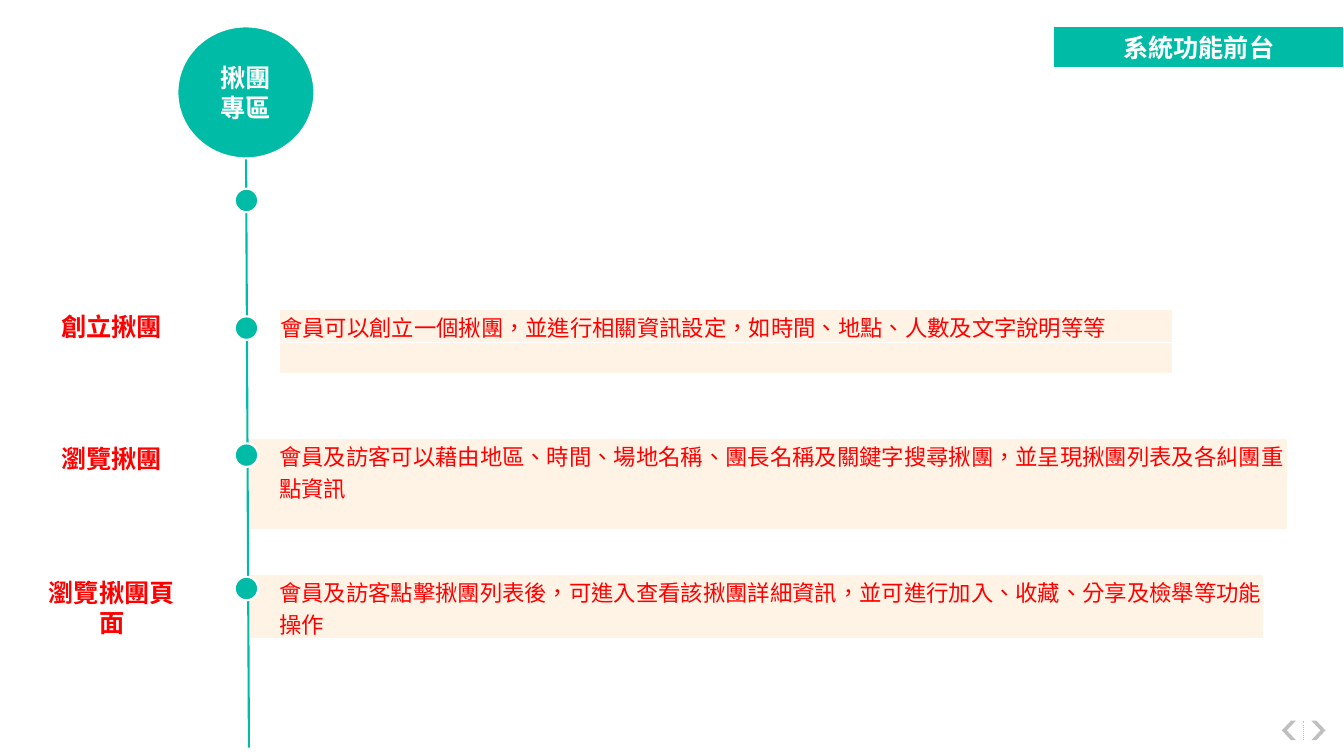
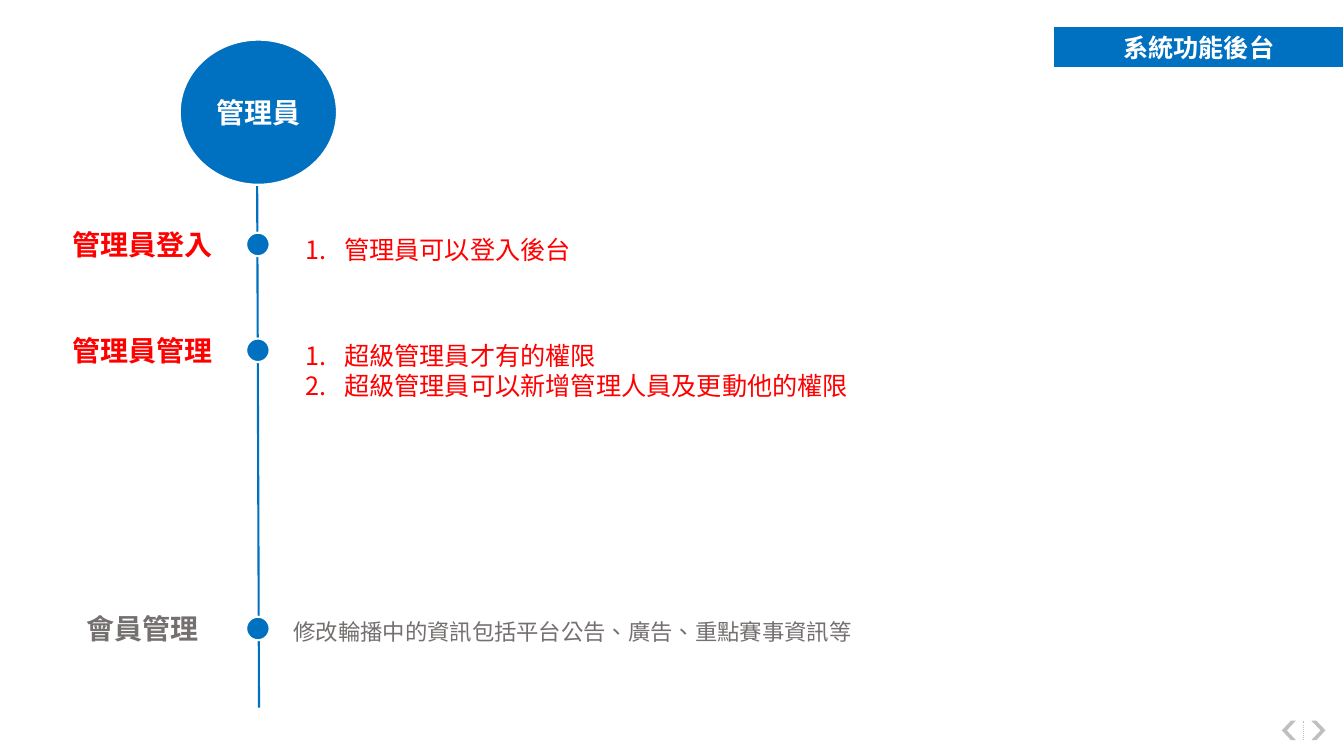
from collections import namedtuple

from lxml.etree import SubElement
from pptx import Presentation
from pptx.dml.color import RGBColor
from pptx.enum.dml import MSO_LINE
from pptx.enum.shapes import MSO_CONNECTOR, MSO_SHAPE
from pptx.enum.text import MSO_ANCHOR, MSO_AUTO_SIZE, PP_ALIGN
from pptx.oxml.ns import qn
from pptx.util import Emu, Inches, Pt

# Grid of 80 columns by 45 rows; every length below is in cells
COLUMNS, ROWS = 80, 45
CELL = Inches(1) // 6
Box = namedtuple("Box", "left top width height")

# Shared look
FONT = "Arial"
WHITE, RED, GRAY = "FFFFFF", "FF0000", "757070"
CREAM, SILVER = "FFF3E6", "BFBFBF"
TEAL, BLUE = "00BBA5", "0070C0"
BANNER = Box(62.7, 1.55, 17.3, 2.5)
PAGER = Box(76.3, 42.9, 2.6, 1.15)
DOT = 1.4


def cells(*counts):
    return [Emu(int(count * CELL)) for count in counts]


def color(hex_string):
    return RGBColor.from_string(hex_string)


def centered(x, y, width, height):
    return Box(x - width / 2, y - height / 2, width, height)


def paint(shape, fill, line=None):
    shape.fill.solid()
    shape.fill.fore_color.rgb = color(fill)
    if line:
        shape.line.color.rgb = color(line)
        shape.line.width = Pt(1.5)
    else:
        shape.line.fill.background()


def place(shape, box):
    shape.left, shape.top, shape.width, shape.height = cells(*box)


def write(frame, lines, size, hex_string, bold=False, align=PP_ALIGN.LEFT):
    """Fill a text frame, one paragraph per line."""
    frame.word_wrap = True
    for index, line in enumerate(lines):
        paragraph = frame.paragraphs[0] if index == 0 else frame.add_paragraph()
        paragraph.alignment = align
        paragraph.line_spacing = 1.0
        paragraph.space_before = Pt(0)
        if not line:
            SubElement(paragraph._p, qn("a:endParaRPr"), sz=str(size * 100))
            continue
        run = paragraph.add_run()
        run.text = line
        run.font.name = FONT
        run.font.size = Pt(size)
        run.font.bold = bold
        run.font.color.rgb = color(hex_string)
        run._r.get_or_add_rPr().set("lang", "zh-TW")


def number(frame, hex_string):
    """Number the paragraphs of a frame with a hanging indent."""
    for paragraph in frame.paragraphs:
        properties = paragraph._p.get_or_add_pPr()
        properties.set("marL", str(Inches(0.5)))
        properties.set("indent", str(-Inches(0.38)))
        bullet_color = SubElement(properties, qn("a:buClr"))
        SubElement(bullet_color, qn("a:srgbClr"), val=hex_string)
        SubElement(properties, qn("a:buAutoNum"), type="arabicPeriod")


def add_shape(slide, kind, box, fill, line=None):
    shape = slide.shapes.add_shape(kind, *cells(*box))
    shape.shadow.inherit = False
    paint(shape, fill, line)
    return shape


def add_line(slide, start, end, hex_string, width):
    line = slide.shapes.add_connector(
        MSO_CONNECTOR.STRAIGHT, *cells(*start, *end))
    line.line.color.rgb = color(hex_string)
    line.line.width = Pt(width)
    SubElement(line._element.spPr, qn("a:effectLst"))
    return line


def add_text(slide, box, lines, size, hex_string, anchor=MSO_ANCHOR.TOP, **style):
    frame = slide.shapes.add_textbox(*cells(*box)).text_frame
    frame.vertical_anchor = anchor
    write(frame, lines, size, hex_string, **style)


def set_banner(slide, text, accent):
    """Title placeholder as the band at top right."""
    title = slide.shapes.title
    place(title, BANNER)
    paint(title, accent, WHITE)
    title.text_frame.auto_size = MSO_AUTO_SIZE.NONE
    title.text_frame.vertical_anchor = MSO_ANCHOR.MIDDLE
    write(title.text_frame, [text], 18, WHITE, bold=True, align=PP_ALIGN.CENTER)


def draw_timeline(slide, hub_box, hub_lines, hub_size, spine, dot_x, dot_rows, accent):
    """Spine, hub circle on its upper end, and dots along it."""
    add_line(slide, *spine, accent, 1.5)
    hub = add_shape(slide, MSO_SHAPE.OVAL, hub_box, accent, WHITE)
    hub.text_frame.vertical_anchor = MSO_ANCHOR.MIDDLE
    write(hub.text_frame, hub_lines, hub_size, WHITE, bold=True,
          align=PP_ALIGN.CENTER)
    for row in dot_rows:
        add_shape(slide, MSO_SHAPE.OVAL, centered(dot_x, row, DOT, DOT),
                  accent, WHITE)


def add_note_table(slide, box, lines, inset):
    """One-column table of tinted notes."""
    table = slide.shapes.add_table(len(lines), 1, *cells(*box)).table
    table.first_row = table.horz_banding = False
    for index, line in enumerate(lines):
        cell = table.cell(index, 0)
        cell.margin_left = Inches(inset)
        cell.margin_top = Inches(0.01)
        cell.margin_right = cell.margin_bottom = 0
        cell.fill.solid()
        cell.fill.fore_color.rgb = color(CREAM)
        write(cell.text_frame, [line], 16, RED)


def move_pager_to_master(slide, master, box):
    """Draw the pager arrows and hang them on the master."""
    arrow_width = box.width * 0.32
    parts = []
    for left, turn in ((box.left, 180), (box.left + box.width - arrow_width, 0)):
        arrow = add_shape(slide, MSO_SHAPE.CHEVRON,
                          Box(left, box.top, arrow_width, box.height), SILVER)
        arrow.adjustments[0] = 0.65
        arrow.rotation = turn
        parts.append(arrow)
    middle = box.left + box.width / 2
    divider = add_line(slide, (middle, box.top + box.height), (middle, box.top),
                       SILVER, 0.75)
    divider.line.dash_style = MSO_LINE.ROUND_DOT
    for part in parts + [divider]:
        master.shapes.element.append(part.element)


def build_front_slide(presentation):
    slide = presentation.slides.add_slide(presentation.slide_layouts[5])
    set_banner(slide, "系統功能前台", TEAL)
    # label, its top, row of its dot, note box, note rows, left inset
    features = [
        ("創立揪團", 18.24, 19.53, Box(16.62, 18.42, 53.2, 3.72),
         ["會員可以創立一個揪團，並進行相關資訊設定，如時間、地點、人數及文字說明等等", ""], 0.01),
        ("瀏覽揪團", 26.1, 27.09, Box(14.82, 26.1, 61.8, 5.4),
         ["會員及訪客可以藉由地區、時間、場地名稱、團長名稱及關鍵字搜尋揪團，並呈現揪團列表及各糾團重點資訊"], 0.3),
        ("瀏覽揪團頁面", 34.08, 35.03, Box(14.82, 34.2, 60.4, 3.8),
         ["會員及訪客點擊揪團列表後，可進入查看該揪團詳細資訊，並可進行加入、收藏、分享及檢舉等功能操作"], 0.3),
    ]
    for label, label_top, _, box, notes, inset in features:
        add_note_table(slide, box, notes, inset)
        add_text(slide, Box(2.25, label_top, 8.8, 2.5), [label], 18, RED,
                 bold=True, align=PP_ALIGN.CENTER)
    dot_rows = [11.93] + [feature[2] for feature in features]
    draw_timeline(slide, centered(14.64, 5.5, 8.16, 7.86), ["揪團", "專區"], 18,
                  ((14.64, 7.4), (14.82, 44.5)), 14.67, dot_rows, TEAL)
    return slide


def build_back_slide(presentation):
    slide = presentation.slides.add_slide(presentation.slide_layouts[3])
    set_banner(slide, "系統功能後台", BLUE)
    # label, row of its dot, numbered duties
    duties = [
        ("管理員登入", 14.55, ["管理員可以登入後台"]),
        ("管理員管理", 20.85,
         ["超級管理員才有的權限", "超級管理員可以新增管理人員及更動他的權限"]),
    ]
    members = ("會員管理", 37.41, ["修改輪播中的資訊包括平台公告、廣告、重點賽事資訊等"])
    draw_timeline(slide, centered(15.38, 6.68, 9.36, 8.64), ["管理員"], 20,
                  ((15.3, 8.82), (15.42, 42.12)), 15.35,
                  [entry[1] for entry in duties + [members]], BLUE)
    for label, row, _ in duties + [members]:
        add_text(slide, centered(8.48, row, 12.06, 3.24), [label], 20,
                 GRAY if label == members[0] else RED, MSO_ANCHOR.MIDDLE,
                 bold=True, align=PP_ALIGN.CENTER)
    # Numbered lists in the two body placeholders
    for index, (_, row, lines) in enumerate(duties, start=1):
        body = slide.placeholders[index]
        place(body, Box(16.88, row - 0.9, 40.74, 2.55 * len(lines)))
        body.text_frame.auto_size = MSO_AUTO_SIZE.NONE
        write(body.text_frame, lines, 18, RED)
        number(body.text_frame, RED)
    add_text(slide, Box(16.88, members[1] - 0.9, 40.74, 2.5), members[2], 16, GRAY)


def main():
    presentation = Presentation()
    presentation.slide_width, presentation.slide_height = cells(COLUMNS, ROWS)
    front = build_front_slide(presentation)
    build_back_slide(presentation)
    move_pager_to_master(front, presentation.slide_master, PAGER)
    presentation.save("out.pptx")


if __name__ == "__main__":
    main()
